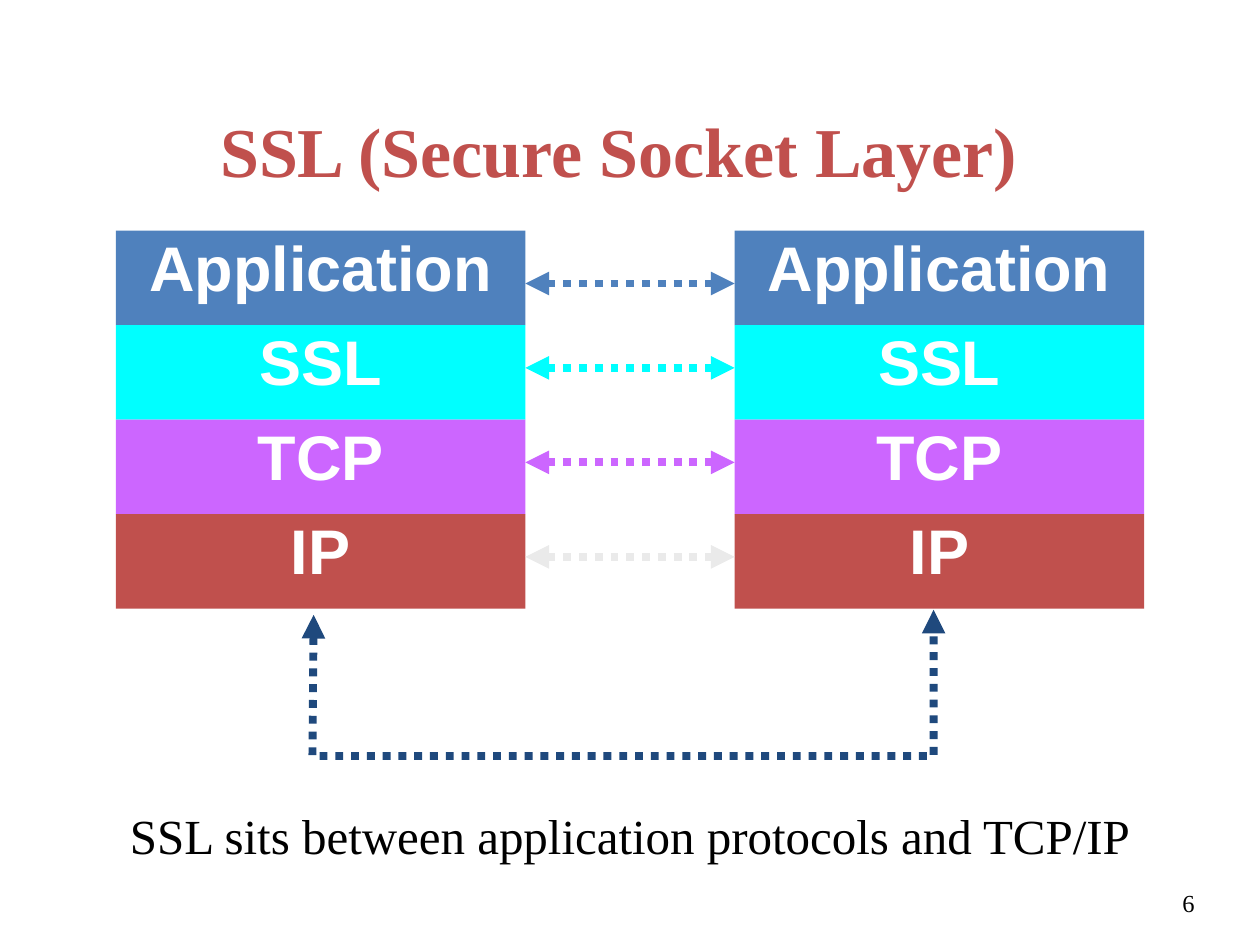
from lxml import etree
from pptx import Presentation
from pptx import util as u
from pptx.dml import color
from pptx.enum import dml, shapes, text
from pptx.oxml import ns

COLORS = {
    "application": "4F81BD",
    "ssl": "00FFFF",
    "tcp": "CC66FF",
    "ip": "C0504D",
    "ip_link": "EAEAEA",
    "network": "1F497D",
    "heading": "C0504D",
    "white": "FFFFFF",
    "black": "000000",
}
LAYERS = [
    ("Application", "application", "application", 2.25),
    ("SSL", "ssl", "ssl", 2.92),
    ("TCP", "tcp", "tcp", 3.67),
    ("IP", "ip", "ip_link", 4.42),
]
STACK_LEFTS = (0.92, 5.83)
STACK_TOP, LAYER_WIDTH, LAYER_HEIGHT = 1.83, 3.25, 0.75


def write(box, words, size, font, shade, align, anchor, bold=False):
    frame = box.text_frame
    frame.word_wrap = True
    frame.auto_size = text.MSO_AUTO_SIZE.NONE
    frame.vertical_anchor = anchor
    para = frame.paragraphs[0]
    para.alignment = align
    span = para.add_run()
    span.text = words
    span.font.size = u.Pt(size)
    span.font.name = font
    span.font.bold = bold
    span.font.color.rgb = color.RGBColor.from_string(COLORS[shade])
    return para


def style_arrow(arrow, shade):
    arrow.line.color.rgb = color.RGBColor.from_string(COLORS[shade])
    arrow.line.width = u.Pt(4.5)
    arrow.line.dash_style = dml.MSO_LINE.ROUND_DOT
    outline = arrow.line._get_or_add_ln()
    for end in ("a:headEnd", "a:tailEnd"):
        etree.SubElement(outline, ns.qn(end), type="triangle")


deck = Presentation()
deck.slide_width, deck.slide_height = u.Inches(10), u.Inches(7.5)
page = deck.slides.add_slide(deck.slide_layouts[5])
center, right = text.PP_ALIGN.CENTER, text.PP_ALIGN.RIGHT
top, middle = text.MSO_ANCHOR.TOP, text.MSO_ANCHOR.MIDDLE

title = page.shapes.title
title.left, title.top = u.Inches(0.75), u.Inches(6.25)
title.width, title.height = u.Inches(8.5), u.Inches(0.75)
write(title, "SSL sits between application protocols and TCP/IP", 28,
      "Times New Roman", "black", center, middle)

for left in STACK_LEFTS:
    stack = page.shapes.add_group_shape()
    for row, (name, shade, _, _) in enumerate(LAYERS):
        box = stack.shapes.add_shape(
            shapes.MSO_SHAPE.RECTANGLE,
            u.Inches(left), u.Inches(STACK_TOP + row * LAYER_HEIGHT),
            u.Inches(LAYER_WIDTH), u.Inches(LAYER_HEIGHT))
        box.shadow.inherit = False
        box.fill.solid()
        box.fill.fore_color.rgb = color.RGBColor.from_string(COLORS[shade])
        box.line.fill.background()
        para = write(box, name, 36, "Arial", "white", center, top, bold=True)
        para.line_spacing = 0.9
        para.space_before = u.Pt(9)
        properties = para._p.get_or_add_pPr()
        properties.set("marL", str(u.Inches(0.38)))
        properties.set("indent", str(u.Inches(-0.38)))

for _, _, shade, height in LAYERS:
    link = page.shapes.add_connector(
        shapes.MSO_CONNECTOR.STRAIGHT,
        u.Inches(STACK_LEFTS[0] + LAYER_WIDTH), u.Inches(height),
        u.Inches(STACK_LEFTS[1]), u.Inches(height))
    style_arrow(link, shade)
    etree.SubElement(link._element.spPr, ns.qn("a:effectLst"))

route = [(u.Inches(x), u.Inches(y))
         for x, y in [(2.49, 4.88), (2.48, 6), (7.41, 6), (7.41, 4.84)]]
builder = page.shapes.build_freeform(*route[0])
builder.add_line_segments(route[1:], close=False)
network = builder.convert_to_shape()
network.shadow.inherit = False
network.fill.background()
style_arrow(network, "network")

number = page.shapes.add_textbox(
    u.Inches(8.74), u.Inches(7), u.Inches(0.84), u.Inches(0.5))
write(number, "6", 14, "Times New Roman", "black", right, top)

heading = page.shapes.add_textbox(
    u.Inches(0.66), u.Inches(0.77), u.Inches(8.5), u.Inches(0.83))
write(heading, "SSL (Secure Socket Layer)", 40, "Times New Roman",
      "heading", center, middle, bold=True)

deck.save("out.pptx")
